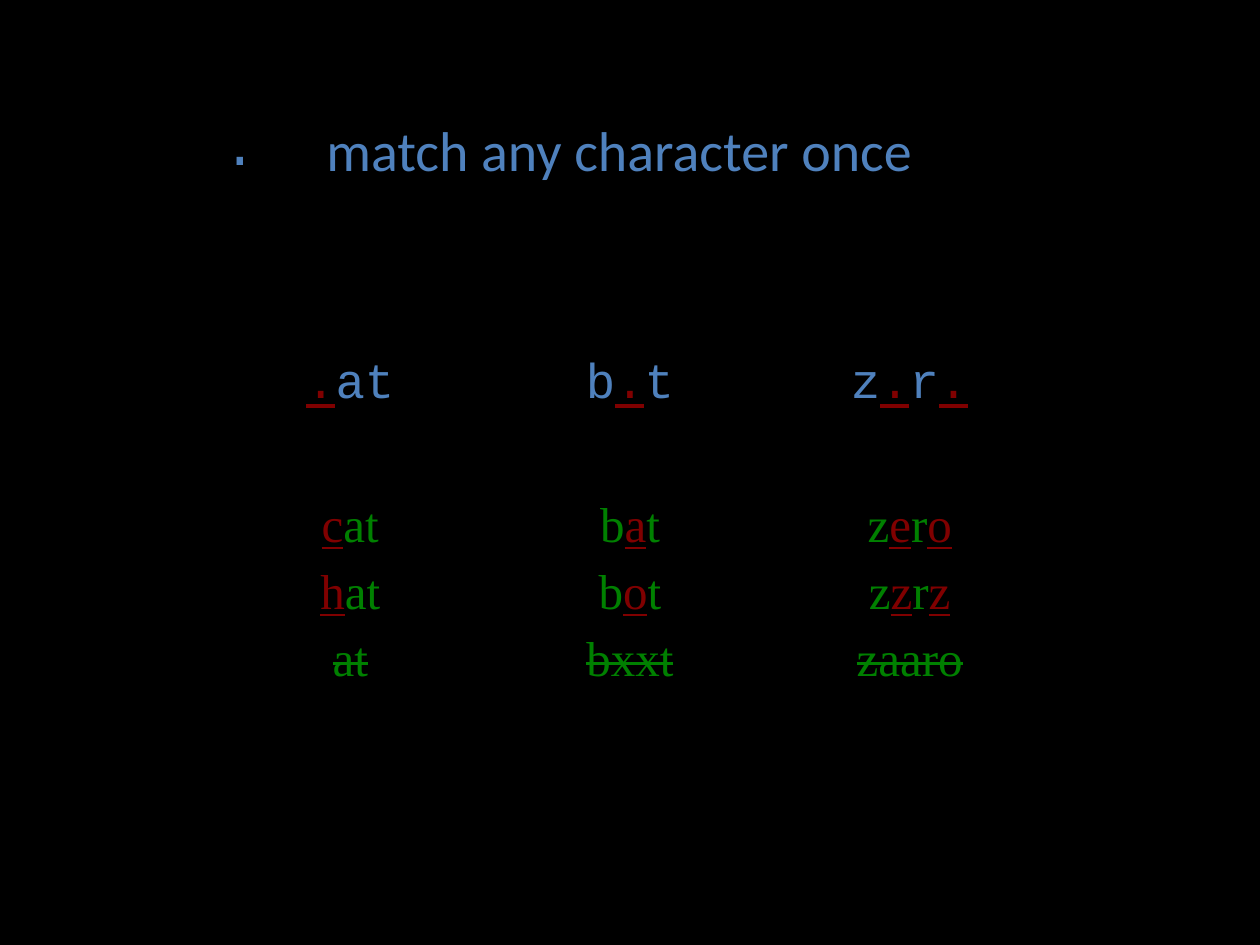
from pptx import Presentation
from pptx.dml.color import RGBColor
from pptx.enum.text import PP_ALIGN
from pptx.oxml.ns import qn
from pptx.util import Inches, Pt

COLORS = {"background": "000000", "pattern": "4F81BD",
          "wildcard": "800000", "word": "008000"}
NO_STYLE_NO_GRID = "{2D5ABB26-0587-4C30-8999-92F81FD0307C}"
LEFT = 1.67
ROW_HEIGHT = 0.41


def add_plain_table(top, column_widths, row_heights):
    """Add a table with neither fills nor borders."""
    frame = slide.shapes.add_table(
        len(row_heights), len(column_widths), Inches(LEFT), Inches(top),
        Inches(sum(column_widths)), Inches(sum(row_heights)))
    table = frame.table
    table.first_row = table.horz_banding = False
    table._tbl.tblPr.find(qn("a:tableStyleId")).text = NO_STYLE_NO_GRID
    for column, width in zip(table.columns, column_widths):
        column.width = Inches(width)
    for row, height in zip(table.rows, row_heights):
        row.height = Inches(height)
    for cell in table.iter_cells():
        cell.fill.background()
    return table


def add_run(paragraph, text, color, **formats):
    run = paragraph.add_run()
    run.text = text
    run.font.color.rgb = RGBColor.from_string(COLORS[color])
    for attribute, value in formats.items():
        setattr(run.font, attribute, value)
    return run


prs = Presentation()
prs.slide_width, prs.slide_height = Inches(10), Inches(7.5)
slide = prs.slides.add_slide(prs.slide_layouts[6])
slide.background.fill.solid()
slide.background.fill.fore_color.rgb = RGBColor.from_string(COLORS["background"])

# Meaning of the symbol
meaning = add_plain_table(0.89, [0.82, 5.84], [ROW_HEIGHT])
for column, (text, font) in enumerate([(".", "Courier New"),
                                       ("match any character once", "Calibri")]):
    add_run(meaning.cell(0, column).text_frame.paragraphs[0], text, "pattern",
            name=font, size=Pt(32))

# Patterns above the words they match; bars enclose the wildcard characters
examples = [
    ["|.|at", "b|.|t", "z|.|r|.|"],
    [],
    ["|c|at", "b|a|t", "z|e|r|o|"],
    ["|h|at", "b|o|t", "z|z|r|z|"],
    ["at", "bxxt", "zaaro"],
]
PATTERN_ROW, GAP_ROW, MISMATCH_ROW = 0, 1, 4
heights = [ROW_HEIGHT] * len(examples)
heights[GAP_ROW] = 0.58
matches = add_plain_table(2.79, [2.22] * 3, heights)

for row, entries in enumerate(examples):
    is_pattern = row == PATTERN_ROW
    font = "Courier New" if is_pattern else "Times New Roman"
    for column, entry in enumerate(entries):
        paragraph = matches.cell(row, column).text_frame.paragraphs[0]
        paragraph.alignment = PP_ALIGN.CENTER
        for index, part in enumerate(entry.split("|")):
            if not part:
                continue
            is_wildcard = index % 2 == 1
            color = "wildcard" if is_wildcard else "pattern" if is_pattern else "word"
            run = add_run(paragraph, part, color, name=font, size=Pt(28),
                          underline=is_wildcard)
            if row == MISMATCH_ROW:
                run.font._element.set("strike", "sngStrike")

prs.save("out.pptx")
